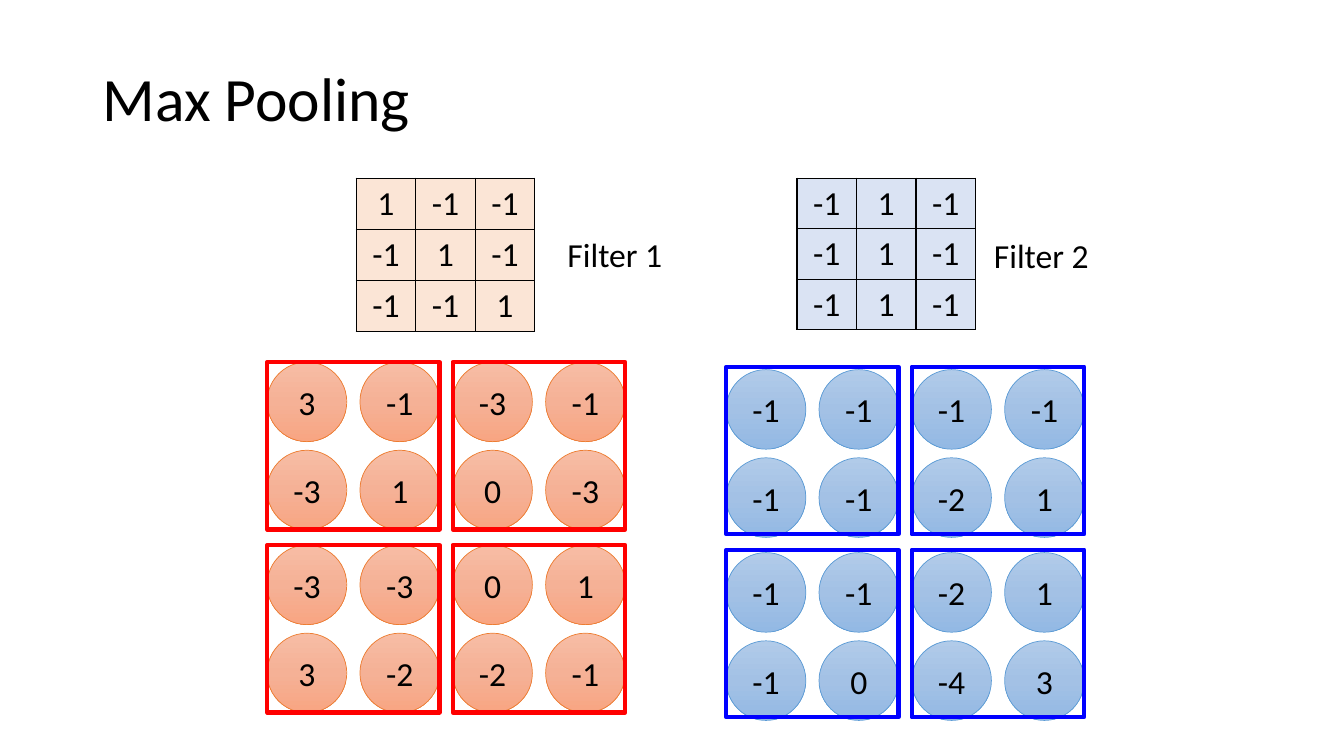
"""Build the Max Pooling slide with two filters and their pooled feature maps."""
from copy import deepcopy

from lxml.etree import SubElement
from pptx import Presentation
from pptx.dml.color import RGBColor
from pptx.enum.shapes import MSO_SHAPE as Shape
from pptx.enum.text import MSO_ANCHOR as Anchor, PP_ALIGN as Align
from pptx.oxml.ns import qn
from pptx.util import Pt


def color(value):
    return RGBColor.from_string(value)


def write(frame, text, size=24, align=Align.CENTER):
    paragraph = frame.paragraphs[0]
    paragraph.alignment = align
    run = paragraph.add_run()
    run.text = text
    for name, value in {"name": "Calibri", "size": Pt(size)}.items():
        setattr(run.font, name, value)
    run.font.color.rgb = color("000000")
    return paragraph


presentation = Presentation()
presentation.slide_width, presentation.slide_height = Pt(960), Pt(540)
slide = presentation.slides.add_slide(presentation.slide_layouts[5])
shapes = slide.shapes

title = shapes.title
title_place = {"left": 66, "top": 28.8, "width": 247.7, "height": 87.8}
for name, value in title_place.items():
    setattr(title, name, Pt(value))
title.text_frame.vertical_anchor = Anchor.MIDDLE
write(title.text_frame, "Max Pooling", 44, Align.LEFT).line_spacing = 0.9

filters = [
    {
        "label": "Filter 1", "label_at": (382.3, 163.6),
        "table_left": 254.4, "cell_fill": "FBE5D6",
        "kernel": ["1 -1 -1", "-1 1 -1", "-1 -1 1"],
        "left": 190.8, "circle_top": 258.6, "frame_top": 258.6,
        "gradient": ["F7BDA5", "F5B196", "F8A582"],
        "outline": "ED7D31", "frame": "FF0000",
        "map": ["3 -1 -3 -1", "-3 1 0 -3", "-3 -3 0 1", "3 -2 -2 -1"],
    },
    {
        "label": "Filter 2", "label_at": (686.9, 164.2),
        "table_left": 569.3, "cell_fill": "DAE3F3",
        "kernel": ["-1 1 -1"] * 3,
        "left": 518.7, "circle_top": 264, "frame_top": 262,
        "gradient": ["B1CBE9", "A3C1E5", "93B9E4"],
        "outline": "5B9BD5", "frame": "0000FF",
        "map": ["-1 -1 -1 -1", "-1 -1 -2 1", "-1 -1 -2 1", "-1 0 -4 3"],
    },
]
diameter = 56.9
column_step, row_step = 66.3, 63
block_width, block_height = 2 * column_step, 130.7

for item in filters:
    graphic = shapes.add_table(3, 3, Pt(item["table_left"]), Pt(127.4), Pt(127.5), Pt(108))
    table = graphic.table
    table.first_row = table.horz_banding = False
    for row, line in enumerate(item["kernel"]):
        for column, value in enumerate(line.split()):
            cell = table.cell(row, column)
            write(cell.text_frame, value)
            properties = cell._tc.get_or_add_tcPr()
            for side in ("lnL", "lnR", "lnT", "lnB"):
                border = SubElement(properties, qn(f"a:{side}"), w=str(Pt(1)))
                solid = SubElement(border, qn("a:solidFill"))
                SubElement(solid, qn("a:srgbClr"), val="000000")
            cell.fill.solid()
            cell.fill.fore_color.rgb = color(item["cell_fill"])

    label_left, label_top = item["label_at"]
    label = shapes.add_textbox(Pt(label_left), Pt(label_top), Pt(113.8), Pt(36))
    label.text_frame.word_wrap = True
    write(label.text_frame, item["label"])

    for row, line in enumerate(item["map"]):
        top = item["circle_top"] + row // 2 * block_height + row % 2 * row_step
        for column, value in enumerate(line.split()):
            left = item["left"] + column * column_step
            circle = shapes.add_shape(
                Shape.OVAL, Pt(left), Pt(top), Pt(diameter), Pt(diameter))
            circle.shadow.inherit = False
            circle.fill.gradient()
            circle.fill.gradient_angle = 270
            stop_list = circle._element.spPr.find(".//" + qn("a:gsLst"))
            stop_list.append(deepcopy(stop_list[1]))
            stops = zip(circle.fill.gradient_stops, item["gradient"], (0, 0.5, 1))
            for stop, shade, position in stops:
                stop.color.rgb = color(shade)
                stop.position = position
            circle.line.color.rgb = color(item["outline"])
            circle.line.width = Pt(0.5)
            circle.text_frame.vertical_anchor = Anchor.MIDDLE
            write(circle.text_frame, value)

    for row in range(2):
        for column in range(2):
            frame = shapes.add_shape(
                Shape.RECTANGLE,
                Pt(item["left"] + column * block_width),
                Pt(item["frame_top"] + row * block_height),
                Pt(123.2), Pt(119.6))
            frame.shadow.inherit = False
            frame.fill.background()
            frame.line.color.rgb = color(item["frame"])
            frame.line.width = Pt(3)

presentation.save("out.pptx")
